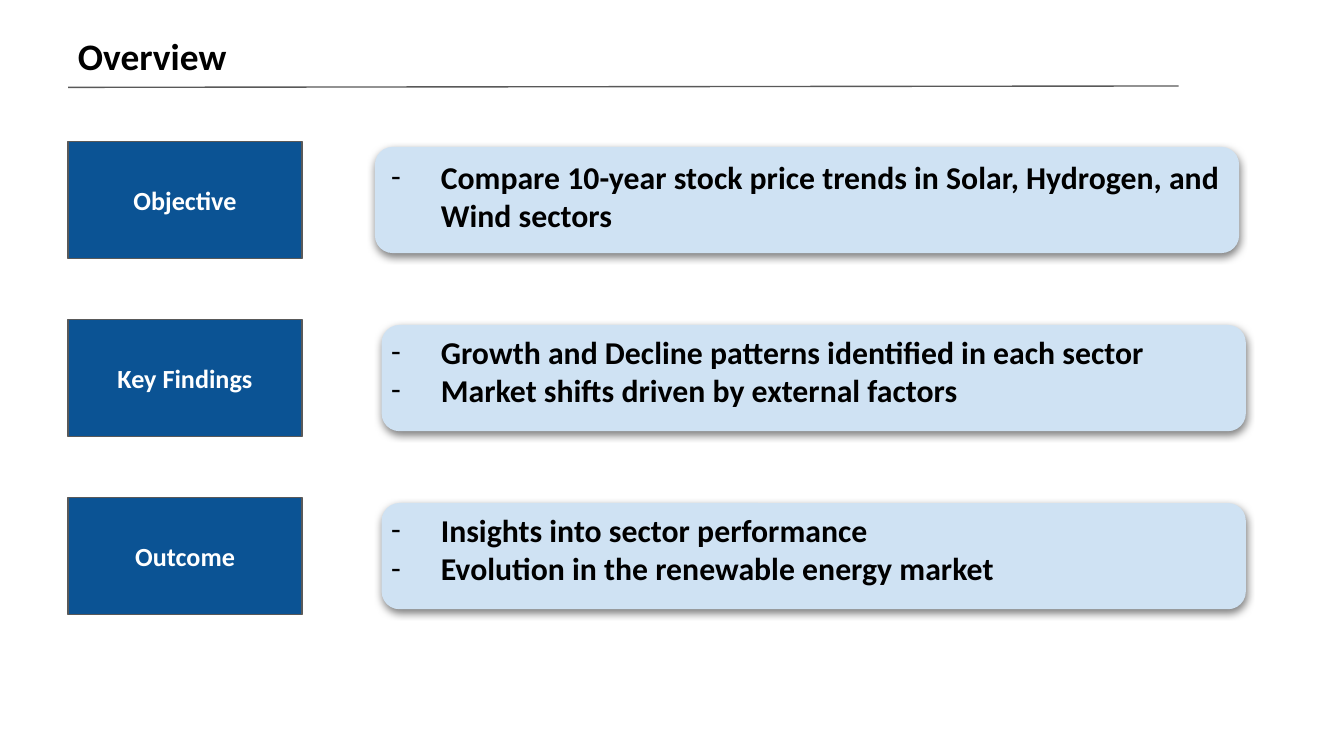
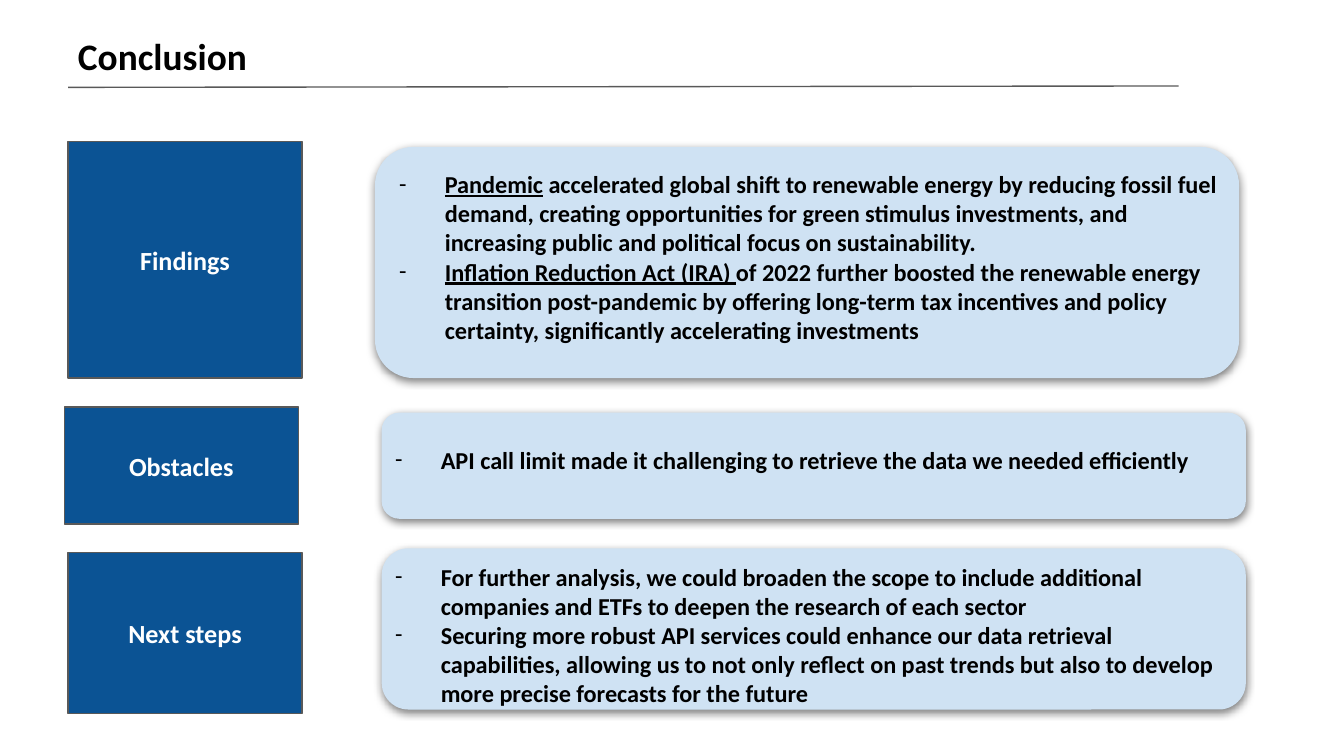
from dataclasses import dataclass

from lxml.etree import SubElement
from pptx import Presentation
from pptx.dml.color import RGBColor
from pptx.enum.shapes import MSO_CONNECTOR as Connector, MSO_SHAPE as Shape
from pptx.enum.text import MSO_ANCHOR as Anchor, MSO_AUTO_SIZE as AutoSize, PP_ALIGN as Align
from pptx.oxml.ns import qn
from pptx.util import Inches, Pt

BLACK = RGBColor(0x00, 0x00, 0x00)
WHITE = RGBColor(0xFF, 0xFF, 0xFF)
NAVY = RGBColor(0x0B, 0x53, 0x94)
PALE_BLUE = RGBColor(0xCF, 0xE2, 0xF3)
GREY = RGBColor(0x59, 0x59, 0x59)
FONT = "Calibri"

# The grid has square cells: 100 columns across the 16:9 slide, 56.25 rows down.
COLUMNS, ROWS = 100, 56.25
CELL = Inches(0.1)
COMPARISON_LAYOUT = 4

LABEL_WIDTH, LABEL_HEIGHT = 17.4, 8.7
CARD_WIDTH = 64.3
FIRST_ROW, OVERVIEW_PITCH = 10.53, 13.25


@dataclass
class Section:
    """A label, its card and its list; each item is (underlined lead, rest)."""
    label: str
    items: list
    top: float
    list_box: tuple
    height: float = LABEL_HEIGHT
    label_left: float = 5.07
    card_left: float = 28.4
    card_drop: float = 0.4
    card_trim: float = 0.8


def cells(*lengths):
    return [round(length * CELL) for length in lengths]


def place(element, box):
    element.left, element.top, element.width, element.height = cells(*box)


def style_frame(frame, anchor):
    frame.word_wrap = True
    frame.auto_size = AutoSize.NONE
    frame.vertical_anchor = anchor
    frame.margin_left = frame.margin_right = CELL
    frame.margin_top = frame.margin_bottom = CELL


def style_paragraph(paragraph, size, color, align=Align.LEFT):
    paragraph.alignment = align
    paragraph.line_spacing = 1.0
    paragraph.space_before = paragraph.space_after = Pt(0)
    for run in paragraph.runs:
        run.font.name = FONT
        run.font.size = Pt(size)
        run.font.bold = True
        run.font.color.rgb = color


def add_dash(paragraph, hanging):
    properties = paragraph._p.get_or_add_pPr()
    properties.set("marL", str(Inches(0.5)))
    properties.set("indent", str(-Inches(hanging)))
    bullet_color = SubElement(properties, qn("a:buClr"))
    SubElement(bullet_color, qn("a:srgbClr"), val=str(BLACK))
    SubElement(properties, qn("a:buFont"), typeface=FONT)
    SubElement(properties, qn("a:buChar"), char="-")


def add_block(slide, preset, box, fill):
    block = slide.shapes.add_shape(preset, *cells(*box))
    block.shadow.inherit = False
    block.fill.solid()
    block.fill.fore_color.rgb = fill
    return block


def add_card(slide, box):
    card = add_block(slide, Shape.ROUNDED_RECTANGLE, box, PALE_BLUE)
    card.line.fill.background()
    effects = card.element.spPr.find(qn("a:effectLst"))
    shadow = SubElement(effects, qn("a:outerShdw"), blurRad=str(Pt(4.5)),
                        dist=str(Pt(1.5)), dir="5400000", algn="bl", rotWithShape="0")
    shade = SubElement(shadow, qn("a:srgbClr"), val=str(BLACK))
    SubElement(shade, qn("a:alpha"), val="50000")


def add_label(slide, text, box):
    label = add_block(slide, Shape.RECTANGLE, box, NAVY)
    label.line.color.rgb = GREY
    label.line.width = Pt(0.75)
    style_frame(label.text_frame, Anchor.MIDDLE)
    label.text_frame.text = text
    style_paragraph(label.text_frame.paragraphs[0], 14, WHITE, Align.CENTER)


def fill_list(body, items, box, size, hanging):
    place(body, box)
    frame = body.text_frame
    style_frame(frame, Anchor.TOP)
    frame.text = "\n".join(lead for lead, _ in items)
    for paragraph, (_, rest) in zip(frame.paragraphs, items):
        for lead_run in paragraph.runs:
            lead_run.font.underline = True
        paragraph.add_run().text = rest
        style_paragraph(paragraph, size, BLACK)
        add_dash(paragraph, hanging)
    # Bring the list in front of its card.
    body.element.getparent().append(body.element)


def add_heading(slide, text):
    title = slide.shapes.title
    place(title, (4.8, 1.5, 59, 4.9))
    style_frame(title.text_frame, Anchor.TOP)
    title.text_frame.text = text
    style_paragraph(title.text_frame.paragraphs[0], 20, BLACK)
    rule = slide.shapes.add_connector(Connector.STRAIGHT, *cells(5.07, 6.5, 87.7, 6.4))
    rule.line.color.rgb = GREY
    rule.line.width = Pt(0.75)
    SubElement(rule.element.spPr, qn("a:effectLst"))


def add_section_slide(deck, heading, sections, size, hanging):
    slide = deck.slides.add_slide(deck.slide_layouts[COMPARISON_LAYOUT])
    bodies = [holder for holder in slide.placeholders if holder.placeholder_format.idx > 0]
    add_heading(slide, heading)
    for section, body in zip(sections, bodies):
        add_card(slide, (section.card_left, section.top + section.card_drop,
                         CARD_WIDTH, section.height - section.card_trim))
        add_label(slide, section.label,
                  (section.label_left, section.top, LABEL_WIDTH, section.height))
        fill_list(body, section.items, section.list_box, size, hanging)
    for unused in bodies[len(sections):]:
        unused.element.getparent().remove(unused.element)


def overview_sections():
    tops = [FIRST_ROW + OVERVIEW_PITCH * row for row in range(3)]
    return [
        Section("Objective", [
            ("", "Compare 10-year stock price trends in Solar, Hydrogen, and Wind sectors"),
        ], tops[0], (26.8, 10.73, 66, 9.5), card_left=27.9),
        Section("Key Findings", [
            ("", "Growth and Decline patterns identified in each sector"),
            ("", "Market shifts driven by external factors"),
        ], tops[1], (26.8, tops[1], 71.2, 12.3)),
        Section("Outcome", [
            ("", "Insights into sector performance"),
            ("", "Evolution in the renewable energy market"),
        ], tops[2], (26.8, tops[2], 71.2, 12.3)),
    ]


def conclusion_sections():
    return [
        Section("Findings", [
            ("Pandemic", " accelerated global shift to renewable energy by reducing fossil "
             "fuel demand, creating opportunities for green stimulus investments, and "
             "increasing public and political focus on sustainability."),
            ("Inflation Reduction Act (IRA) ", "of 2022 further boosted the renewable "
             "energy transition post-pandemic by offering long-term tax incentives and "
             "policy certainty, significantly accelerating investments"),
        ], FIRST_ROW, (27.1, 11.6, 64.9, 16.5), height=17.6, card_left=27.9, card_trim=0.4),
        Section("Obstacles", [
            ("", "API call limit made it challenging to retrieve the data we needed "
             "efficiently"),
        ], 30.3, (26.8, 32.1, 71.2, 6.7), label_left=4.8),
        Section("Next steps", [
            ("", "For further analysis, we could broaden the scope to include additional "
             "companies and ETFs to deepen the research of each sector"),
            ("", "Securing more robust API services could enhance our data retrieval "
             "capabilities, allowing us to not only reflect on past trends but also to "
             "develop more precise forecasts for the future"),
        ], 41.1, (26.8, 40.8, 64.9, 12), height=12, card_drop=-0.3, card_trim=0),
    ]


def main():
    deck = Presentation()
    deck.slide_width, deck.slide_height = cells(COLUMNS, ROWS)
    add_section_slide(deck, "Overview", overview_sections(), size=17, hanging=0.37)
    add_section_slide(deck, "Conclusion", conclusion_sections(), size=13, hanging=0.34)
    deck.save("out.pptx")


if __name__ == "__main__":
    main()
